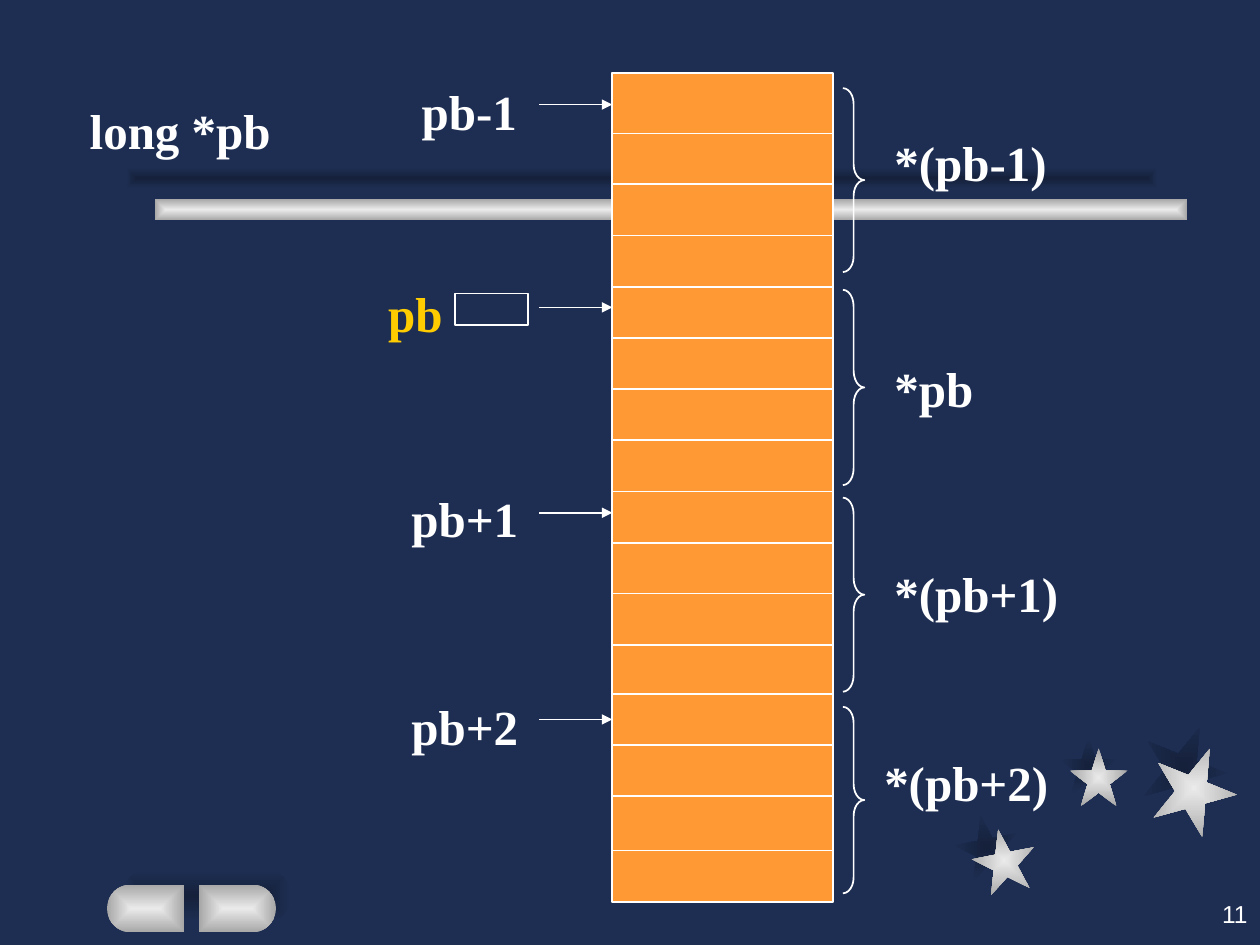
from math import cos, pi, sin

from pptx import Presentation
from pptx.dml.color import RGBColor
from pptx.enum.shapes import MSO_CONNECTOR, MSO_SHAPE
from pptx.enum.text import MSO_ANCHOR, MSO_AUTO_SIZE, PP_ALIGN
from pptx.oxml import parse_xml
from pptx.oxml.ns import nsdecls, qn
from pptx.util import Inches, Pt

NAVY = RGBColor(0x1E, 0x2E, 0x53)
DARK_NAVY = RGBColor(0x15, 0x21, 0x3B)
SILVER = RGBColor(0xEA, 0xEA, 0xEA)
GREY = RGBColor(0xA7, 0xA7, 0xA7)
WHITE = RGBColor(0xFF, 0xFF, 0xFF)
ORANGE = RGBColor(0xFF, 0x99, 0x33)
YELLOW = RGBColor(0xFF, 0xCC, 0x00)
SHADE = (DARK_NAVY, NAVY)
METAL = (SILVER, GREY)

MEMORY_LEFT, MEMORY_TOP, MEMORY_WIDTH, MEMORY_HEIGHT = 4.86, 0.58, 1.75, 6.58
DIVIDERS = (1.06, 1.46, 1.87, 2.28, 2.68, 3.09, 3.49, 3.9,
            4.31, 4.71, 5.12, 5.51, 5.91, 6.32, 6.75)
ARROWS = (0.83, 2.44, 4.07, 5.71)
# text, left, top, width, colour
POINTERS = (("pb-1", 3.08, 0.6, 1.12, WHITE), ("pb", 2.67, 2.2, 0.94, YELLOW),
            ("pb+1", 3, 3.83, 1.21, WHITE), ("pb+2", 3, 5.48, 1.21, WHITE))
# text, left, top, brace top, brace height, brace curve
VALUES = (("*(pb-1)", 7, 1, 0.7, 1.46, 0.73), ("*pb", 7, 2.8, 2.3, 1.55, 0.78),
          ("*(pb+1)", 7, 4.42, 3.95, 1.54, 0.77),
          ("*(pb+2)", 6.92, 5.92, 5.61, 1.48, 0.74))
# size, rotation, shadow position, star position
STARS = ((0.5, 349, (7.58, 6.47), (7.72, 6.58)),
         (0.46, 0, (8.41, 5.85), (8.49, 5.94)),
         (0.67, 22, (9.06, 5.75), (9.14, 5.92)))


def fill_gradient(shape, colours, kind="shape"):
    """Fill a borderless shape with a gradient from its centre outwards."""
    shape.shadow.inherit = False
    shape.line.fill.background()
    shape.fill.gradient()
    for position, (stop, colour) in enumerate(zip(shape.fill.gradient_stops, colours)):
        stop.color.rgb = colour
        stop.position = position
    linear = next(shape._element.spPr.iter(qn("a:lin")))
    centre = parse_xml(
        f'<a:path {nsdecls("a")} path="{kind}">'
        '<a:fillToRect l="50000" t="50000" r="50000" b="50000"/></a:path>')
    linear.getparent().replace(linear, centre)


def add_gradient(slide, preset, left, top, width, height, colours, rotation=0):
    """Add a preset shape with a centred gradient."""
    shape = slide.shapes.add_shape(
        preset, Inches(left), Inches(top), Inches(width), Inches(height))
    shape.rotation = rotation
    fill_gradient(shape, colours)
    return shape


def add_outline(slide, preset, left, top, width, height, fill=None):
    """Add a preset shape with a thin white outline."""
    shape = slide.shapes.add_shape(
        preset, Inches(left), Inches(top), Inches(width), Inches(height))
    shape.shadow.inherit = False
    shape.line.color.rgb = WHITE
    shape.line.width = Pt(1)
    if fill is None:
        shape.fill.background()
    else:
        shape.fill.solid()
        shape.fill.fore_color.rgb = fill
    return shape


def add_line(slide, left, right, y, arrow=False):
    """Add a white horizontal line, with an arrowhead on the right if asked."""
    line = slide.shapes.add_connector(
        MSO_CONNECTOR.STRAIGHT, Inches(left), Inches(y), Inches(right), Inches(y))
    line.line.color.rgb = WHITE
    line.line.width = Pt(1)
    if arrow:
        line.line._get_or_add_ln().append(
            parse_xml(f'<a:tailEnd {nsdecls("a")} type="triangle"/>'))
    line._element.spPr.append(parse_xml(f'<a:effectLst {nsdecls("a")}/>'))


def set_label(shape, text, align, colour=WHITE):
    """Write one bold line of text into a shape."""
    frame = shape.text_frame
    frame.word_wrap = True
    frame.auto_size = MSO_AUTO_SIZE.SHAPE_TO_FIT_TEXT
    frame.vertical_anchor = MSO_ANCHOR.TOP
    frame.text = text
    paragraph = frame.paragraphs[0]
    paragraph.alignment = align
    paragraph.space_before = Pt(3)
    paragraph.line_spacing = 1.0
    font = paragraph.font
    font.name, font.size, font.bold = "Times New Roman", Pt(28), True
    font.color.rgb = colour


def add_label(slide, text, left, top, width, align, colour=WHITE):
    """Add a bold text label."""
    box = slide.shapes.add_textbox(
        Inches(left), Inches(top), Inches(width), Inches(0.57))
    set_label(box, text, align, colour)


def add_half_pill(slide, flat_x, centre_x, direction):
    """Add a half pill whose round end points in the given direction."""
    centre_y, radius, steps = 7.21, 0.19, 20
    angles = [-pi / 2 + pi * step / steps for step in range(steps + 1)]
    curve = [(Inches(centre_x + direction * radius * cos(angle)),
              Inches(centre_y + radius * sin(angle))) for angle in angles]
    builder = slide.shapes.build_freeform(
        Inches(flat_x), Inches(centre_y - radius))
    builder.add_line_segments(
        curve + [(Inches(flat_x), Inches(centre_y + radius))], close=True)
    fill_gradient(builder.convert_to_shape(), METAL, "rect")


def add_decoration(slide):
    """Add the stars, the bar, the pill and the page number."""
    for colours, index in ((SHADE, 2), (METAL, 3)):
        for star in STARS:
            size, rotation = star[:2]
            add_gradient(slide, MSO_SHAPE.STAR_5_POINT, *star[index],
                         size, size, colours, rotation)
    add_gradient(slide, MSO_SHAPE.RECTANGLE, 1.23, 1.58, 8.19, 0.17, METAL)
    add_gradient(slide, MSO_SHAPE.RECTANGLE, 1, 1.33, 8.19, 0.17, SHADE)
    pill = add_gradient(
        slide, MSO_SHAPE.ROUNDED_RECTANGLE, 0.97, 6.9, 1.34, 0.42, SHADE)
    pill.adjustments[0] = 0.5
    add_half_pill(slide, 1.46, 1.04, -1)
    add_half_pill(slide, 1.58, 2.0, 1)

    number = slide.shapes.add_textbox(Inches(7.92), Inches(7), Inches(2.08), Inches(0.5))
    frame = number.text_frame
    frame.word_wrap = True
    frame.vertical_anchor = MSO_ANCHOR.MIDDLE
    frame.text = "11"
    paragraph = frame.paragraphs[0]
    paragraph.alignment = PP_ALIGN.RIGHT
    paragraph.font.name, paragraph.font.size = "Arial", Pt(14)
    paragraph.font.color.rgb = WHITE


def add_memory(slide):
    """Add the column of memory cells."""
    add_outline(slide, MSO_SHAPE.RECTANGLE, MEMORY_LEFT, MEMORY_TOP,
                MEMORY_WIDTH, MEMORY_HEIGHT, ORANGE)
    for y in DIVIDERS:
        add_line(slide, MEMORY_LEFT, MEMORY_LEFT + MEMORY_WIDTH, y)


def add_pointers(slide):
    """Add the pointer names and their arrows into memory."""
    for y in ARROWS:
        add_line(slide, 4.28, MEMORY_LEFT, y, arrow=True)
    add_outline(slide, MSO_SHAPE.RECTANGLE, 3.61, 2.33, 0.58, 0.25)
    for text, left, top, width, colour in POINTERS:
        add_label(slide, text, left, top, width, PP_ALIGN.RIGHT, colour)


def add_values(slide):
    """Add the braces and the expressions for the values."""
    for text, left, top, brace_top, brace_height, curve in VALUES:
        brace = add_outline(
            slide, MSO_SHAPE.RIGHT_BRACE, 6.69, brace_top, 0.17, brace_height)
        brace.adjustments[0] = curve
        add_label(slide, text, left, top, 1.67, PP_ALIGN.LEFT)


def main():
    """Build and save the presentation."""
    presentation = Presentation()
    presentation.slide_width, presentation.slide_height = Inches(10), Inches(7.5)
    slide = presentation.slides.add_slide(presentation.slide_layouts[5])
    slide.background.fill.solid()
    slide.background.fill.fore_color.rgb = NAVY
    title = slide.shapes.title
    title.left, title.top = Inches(0.36), Inches(0.75)
    title.width, title.height = Inches(2.14), Inches(0.57)
    set_label(title, "long *pb", PP_ALIGN.CENTER)
    add_decoration(slide)
    add_memory(slide)
    add_pointers(slide)
    add_values(slide)
    presentation.save("out.pptx")


main()
